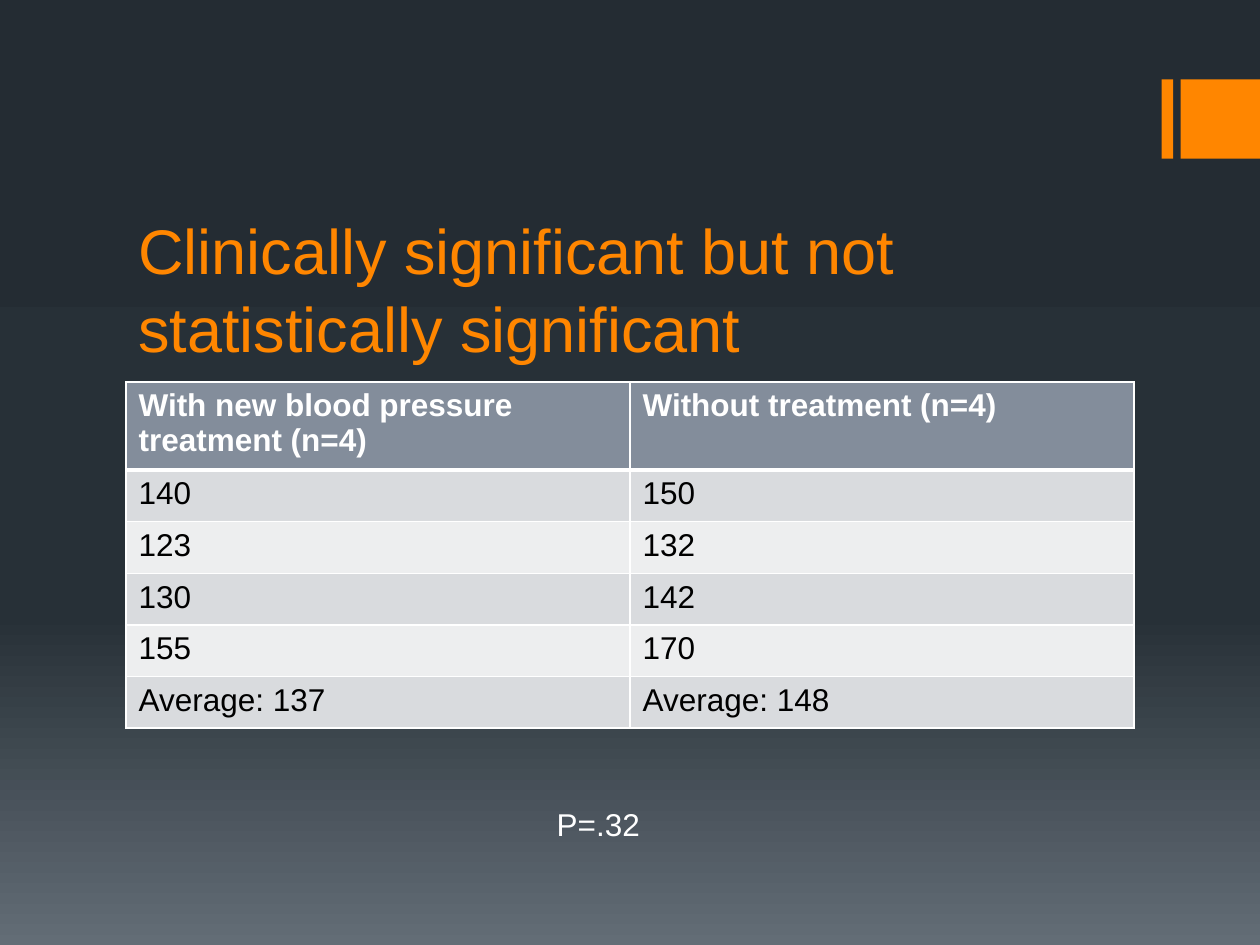
from copy import deepcopy

from pptx import Presentation
from pptx.dml.color import RGBColor
from pptx.enum.shapes import MSO_SHAPE
from pptx.enum.text import MSO_ANCHOR
from pptx.oxml import parse_xml
from pptx.oxml.ns import nsdecls, qn
from pptx.util import Inches, Pt

RECT = MSO_SHAPE.RECTANGLE
TOP, BOTTOM = MSO_ANCHOR.TOP, MSO_ANCHOR.BOTTOM

COLORS = {
    "night": "242C33",
    "slate": "273037",
    "mist": "636D76",
    "orange": "FF8600",
    "white": "FFFFFF",
    "black": "000000",
    "head": "838D9B",
    "odd": "D9DBDE",
    "even": "EDEEEF",
}
ROWS = [
    ("With new blood pressure treatment (n=4)", "Without treatment (n=4)"),
    ("140", "150"),
    ("123", "132"),
    ("130", "142"),
    ("155", "170"),
    ("Average: 137", "Average: 148"),
]


class Deck:
    def __init__(self, slide, font="Arial"):
        self.slide = slide
        self.font = font

    def color(self, name):
        return RGBColor.from_string(COLORS[name])

    def paint(self, stops):
        fill = self.slide.background.fill
        fill.gradient()
        fill.gradient_angle = 270
        items = self.slide.element.find(".//" + qn("a:gsLst"))
        items.append(deepcopy(items[0]))
        for stop, (place, name) in zip(fill.gradient_stops, stops):
            stop.position = place
            stop.color.rgb = self.color(name)

    def block(self, left, top, width, height, name):
        shape = self.slide.shapes.add_shape(
            RECT, Inches(left), Inches(top), Inches(width), Inches(height))
        shape.shadow.inherit = False
        shape.fill.solid()
        shape.fill.fore_color.rgb = self.color(name)
        shape.line.fill.background()

    def words(self, frame, text, size, name, bold=False):
        run = frame.paragraphs[0].add_run()
        run.text = text
        run.font.name = self.font
        run.font.size = Pt(size)
        run.font.bold = bold
        run.font.color.rgb = self.color(name)

    def text(self, left, top, width, height, text, size, name,
             anchor=TOP, wrap=True, space=1.0):
        box = self.slide.shapes.add_textbox(
            Inches(left), Inches(top), Inches(width), Inches(height))
        frame = box.text_frame
        frame.word_wrap = wrap
        frame.vertical_anchor = anchor
        frame.paragraphs[0].line_spacing = space
        self.words(frame, text, size, name)

    def edge(self, cell, base):
        props = cell._tc.get_or_add_tcPr()
        sides = [("L", 1), ("R", 1), ("T", 1), ("B", base)]
        for spot, (side, width) in enumerate(sides):
            props.insert(spot, parse_xml(
                f'<a:ln{side} {nsdecls("a")} w="{Pt(width)}"><a:solidFill>'
                f'<a:srgbClr val="{COLORS["white"]}"/></a:solidFill></a:ln{side}>'))

    def table(self, left, top, width, rows, first, rest):
        count = len(rows)
        height = first + rest * (count - 1)
        table = self.slide.shapes.add_table(
            count, len(rows[0]), Inches(left), Inches(top),
            Inches(width), Inches(height)).table
        for i, row in enumerate(rows):
            head = i == 0
            table.rows[i].height = Inches(first if head else rest)
            shade = "head" if head else "odd" if i % 2 else "even"
            for j, value in enumerate(row):
                cell = table.cell(i, j)
                cell.fill.solid()
                cell.fill.fore_color.rgb = self.color(shade)
                self.words(cell.text_frame, value, 18,
                           "white" if head else "black", head)
                self.edge(cell, 3 if head else 1)


def main():
    show = Presentation()
    show.slide_width, show.slide_height = Inches(10), Inches(7.5)
    deck = Deck(show.slides.add_slide(show.slide_layouts[6]))
    deck.paint([(0, "night"), (0.65, "slate"), (1, "mist")])
    for left, width in [(9.22, 0.09), (9.37, 0.63)]:
        deck.block(left, 0.63, width, 0.63, "orange")
    deck.text(1, 1.69, 8, 1.26,
              "Clinically significant but not statistically significant",
              36, "orange", anchor=BOTTOM, space=1.04)
    deck.table(1, 3.03, 8, ROWS, 0.67, 0.41)
    deck.text(4.32, 6.34, 0.87, 0.4, "P=.32", 18, "white", wrap=False)
    show.save("out.pptx")


if __name__ == "__main__":
    main()
